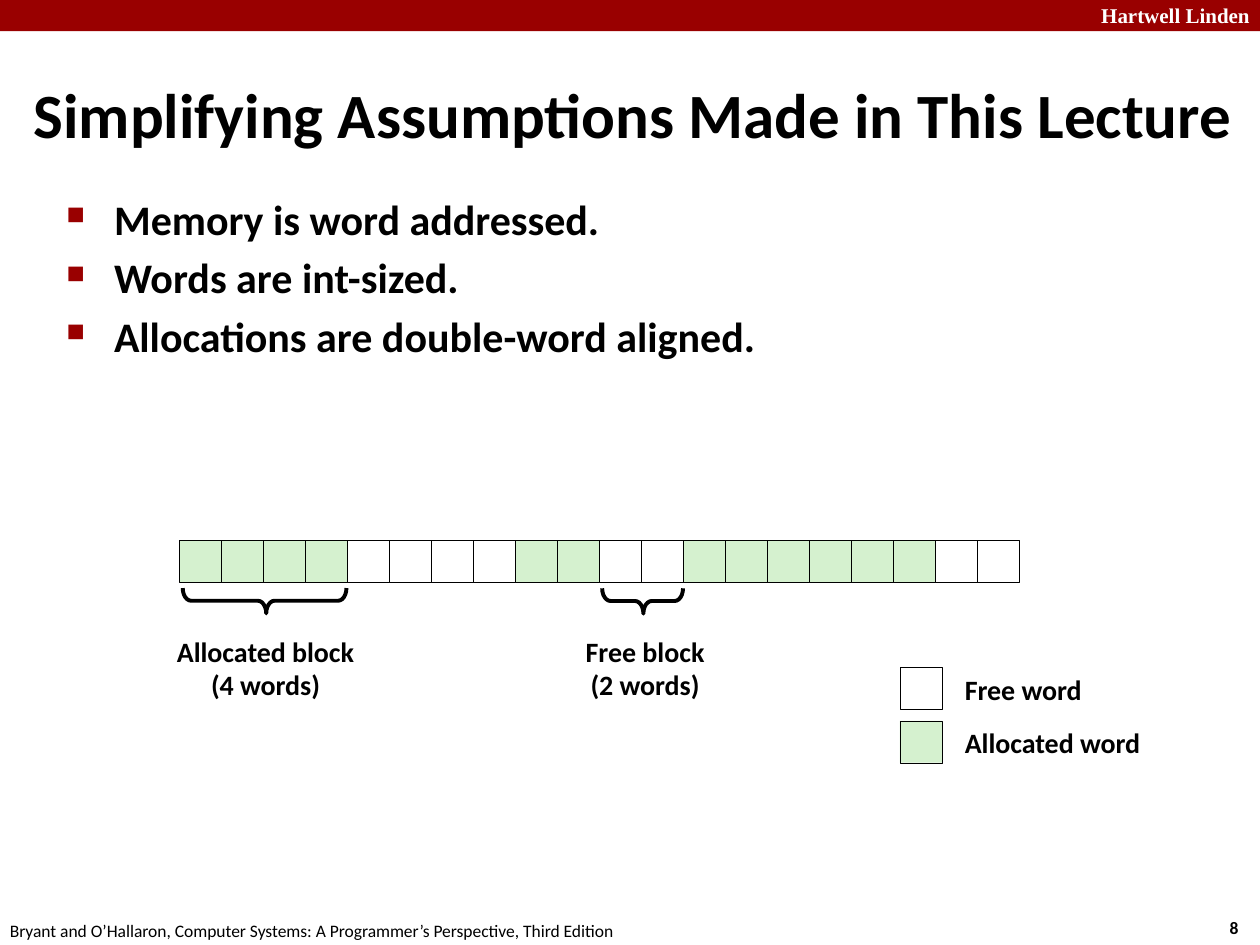
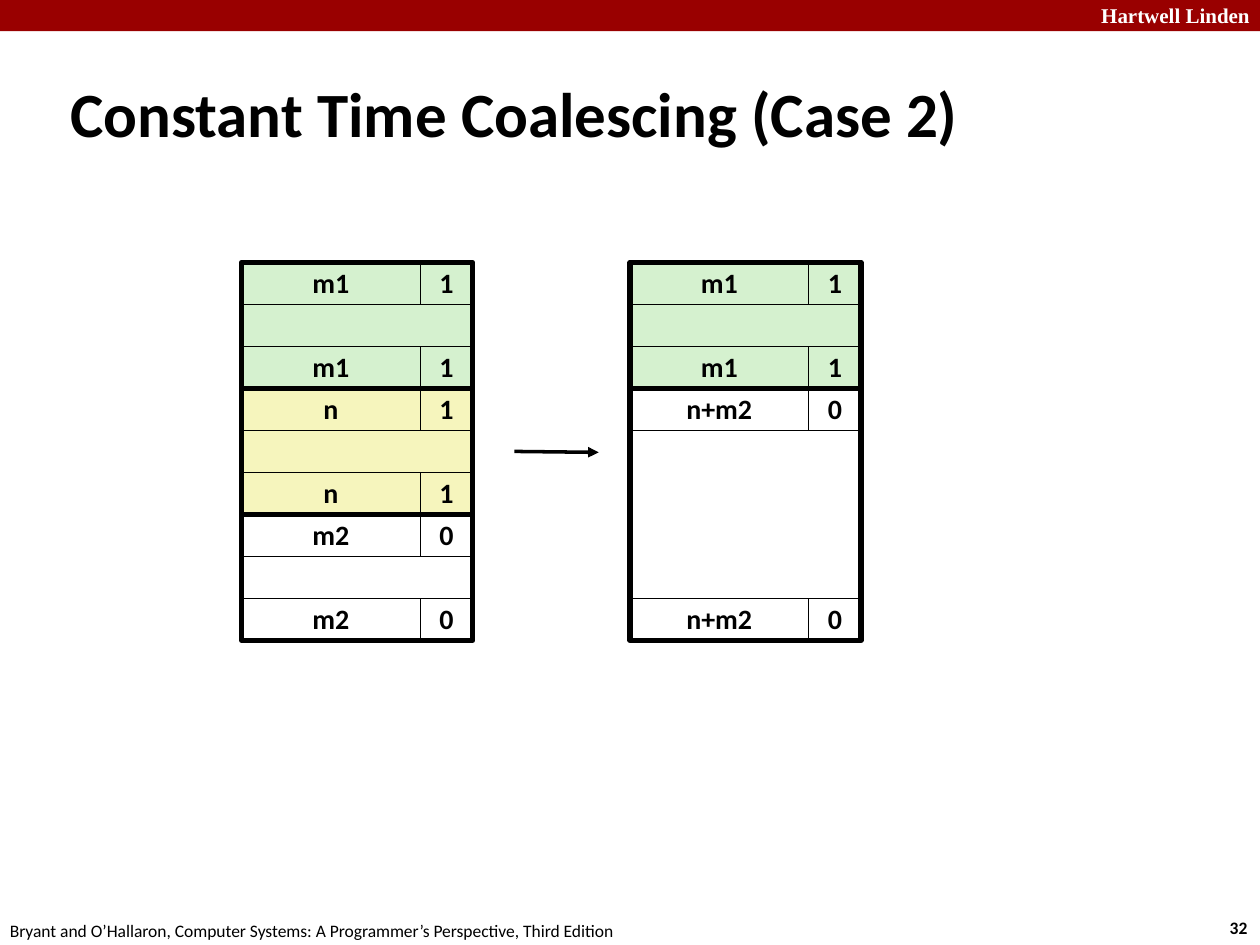
from lxml.etree import SubElement
from pptx import Presentation
from pptx.dml.color import RGBColor
from pptx.enum.shapes import MSO_CONNECTOR, MSO_SHAPE
from pptx.enum.text import MSO_ANCHOR, PP_ALIGN
from pptx.oxml.ns import qn
from pptx.util import Cm, Pt

HUES = {
    "band": "990000",
    "ink": "000000",
    "free": "FFFFFF",
    "used": "D5F1CF",
    "freed": "F6F5BD",
}
FONT = "Calibri"
WORD = 2.54 / 3
SIZE_W = 3.6
FLAG_W = 1.06


def tint(name):
    return RGBColor.from_string(HUES[name])


def write(frame, text, size, bold=True, hue="ink", font=FONT,
          align=PP_ALIGN.LEFT, pitch=None):
    frame.text = text
    for para in frame.paragraphs:
        para.alignment = align
        para.line_spacing = pitch
        for run in para.runs:
            run.font.size = Pt(size)
            run.font.bold = bold
            run.font.name = font
            run.font.color.rgb = tint(hue)


def add_text(slide, left, top, width, height, text, size, **style):
    box = slide.shapes.add_textbox(Cm(left), Cm(top), Cm(width), Cm(height))
    frame = box.text_frame
    frame.word_wrap = style.get("align") != PP_ALIGN.CENTER
    write(frame, text, size, **style)
    return frame


def add_form(slide, kind, left, top, width, height, fill=None, line=0.25):
    form = slide.shapes.add_shape(kind, Cm(left), Cm(top), Cm(width), Cm(height))
    form.shadow.inherit = False
    if fill:
        form.fill.solid()
        form.fill.fore_color.rgb = tint(fill)
    else:
        form.fill.background()
    if line:
        form.line.color.rgb = tint("ink")
        form.line.width = Pt(line)
    else:
        form.line.fill.background()
    return form


def add_cell(slide, left, top, width, height, fill, text=""):
    cell = add_form(slide, MSO_SHAPE.RECTANGLE, left, top, width, height, fill)
    if text:
        frame = cell.text_frame
        frame.word_wrap = False
        frame.vertical_anchor = MSO_ANCHOR.MIDDLE
        write(frame, text, 16, align=PP_ALIGN.CENTER, pitch=0.98)


def hang(para, indent):
    props = para._p.get_or_add_pPr()
    props.set("marL", str(Cm(indent)))
    props.set("indent", str(-Cm(indent)))
    return props


def add_title(slide, left, top, width, height, text):
    frame = add_text(slide, left, top, width, height, text, 36)
    frame.vertical_anchor = MSO_ANCHOR.MIDDLE
    hang(frame.paragraphs[0], 0.33)


def add_list(slide, left, top, width, height, items):
    frame = add_text(slide, left, top, width, height, "\n".join(items), 24)
    for para in frame.paragraphs:
        para.space_before = Pt(4.5)
        props = hang(para, 0.96)
        SubElement(SubElement(props, qn("a:buClr")), qn("a:srgbClr"), val=HUES["band"])
        SubElement(props, qn("a:buSzPct"), val="60000")
        SubElement(props, qn("a:buChar"), char="■")


def add_brace(slide, left, top, width, height):
    brace = add_form(slide, MSO_SHAPE.LEFT_BRACE, left, top, width, height, line=2.25)
    brace.adjustments[0] = 0.33
    brace.adjustments[1] = 0.51
    brace.rotation = 270


def add_arrow(slide, left, top, right, end):
    arrow = slide.shapes.add_connector(
        MSO_CONNECTOR.STRAIGHT, Cm(left), Cm(top), Cm(right), Cm(end))
    arrow.line.color.rgb = tint("ink")
    arrow.line.width = Pt(2)
    SubElement(arrow.line._get_or_add_ln(), qn("a:tailEnd"), type="triangle")
    SubElement(arrow._element.spPr, qn("a:effectLst"))


def add_block(slide, left, top, size, flag, fill, body=1):
    for row in (0, body + 1):
        y = top + row * WORD
        add_cell(slide, left, y, SIZE_W, WORD, fill, size)
        add_cell(slide, left + SIZE_W, y, FLAG_W, WORD, fill, flag)
    width = SIZE_W + FLAG_W
    add_cell(slide, left, top + WORD, width, body * WORD, fill)
    height = (body + 2) * WORD
    add_form(slide, MSO_SHAPE.RECTANGLE, left, top, width, height, line=3)
    return top + height


def add_stack(slide, left, top, blocks):
    for block in blocks:
        top = add_block(slide, left, top, *block)


def new_slide(deck, page):
    slide = deck.slides.add_slide(deck.slide_layouts[6])
    add_form(slide, MSO_SHAPE.RECTANGLE, 0, 0, 25.4, 0.63, "band", 0)
    add_text(slide, 21.95, -0.08, 3.63, 0.76, "Hartwell Linden", 12,
             hue="free", font="Times New Roman")
    add_text(slide, 24.54, 18.36, 0.94, 0.69, page, 10)
    add_text(slide, -0.05, 18.42, 12.9, 0.69,
             "Bryant and O’Hallaron, Computer Systems: "
             "A Programmer’s Perspective, Third Edition", 10, bold=False)
    return slide


def draw_words(deck):
    slide = new_slide(deck, "8")
    add_title(slide, 0.43, 1.22, 24.97, 2.11,
              "Simplifying Assumptions Made in This Lecture")
    add_list(slide, 1.09, 3.78, 21.95, 13.82, [
        "Memory is word addressed.",
        "Words are int-sized.",
        "Allocations are double-word aligned.",
    ])
    runs = [("used", 4), ("free", 4), ("used", 2),
            ("free", 2), ("used", 6), ("free", 2)]
    words = [fill for fill, count in runs for _ in range(count)]
    for spot, fill in enumerate(words):
        add_cell(slide, 3.62 + spot * WORD, 10.9, WORD, WORD, fill)
    for left, width, text in [(3.3, 4.11, "Allocated block\n(4 words)"),
                              (11.48, 3.05, "Free block\n(2 words)")]:
        add_text(slide, left, 12.7, width, 1.6, text, 16,
                 align=PP_ALIGN.CENTER, pitch=0.98)
    for top, fill, text in [(13.46, "free", "Free word"),
                            (14.53, "used", "Allocated word")]:
        add_cell(slide, 18.14, top, WORD, WORD, fill)
        add_text(slide, 19.2, top, 4.2, 0.94, text, 16, pitch=0.98)
    add_brace(slide, 5.08, 10.46, 0.51, 3.3)
    add_brace(slide, 12.7, 11.3, 0.51, 1.63)


def draw_merge(deck):
    slide = new_slide(deck, "32")
    add_title(slide, 1.17, 1.47, 23.06, 1.6, "Constant Time Coalescing (Case 2)")
    first = ("m1", "1", "used")
    add_stack(slide, 4.87, 5.29, [first, ("n", "1", "freed"), ("m2", "0", "free")])
    add_stack(slide, 12.7, 5.29, [first, ("n+m2", "0", "free", 4)])
    add_arrow(slide, 10.37, 9.1, 12.07, 9.12)


def main():
    deck = Presentation()
    deck.slide_width = Cm(25.4)
    deck.slide_height = Cm(19.05)
    draw_words(deck)
    draw_merge(deck)
    deck.save("out.pptx")


if __name__ == "__main__":
    main()
